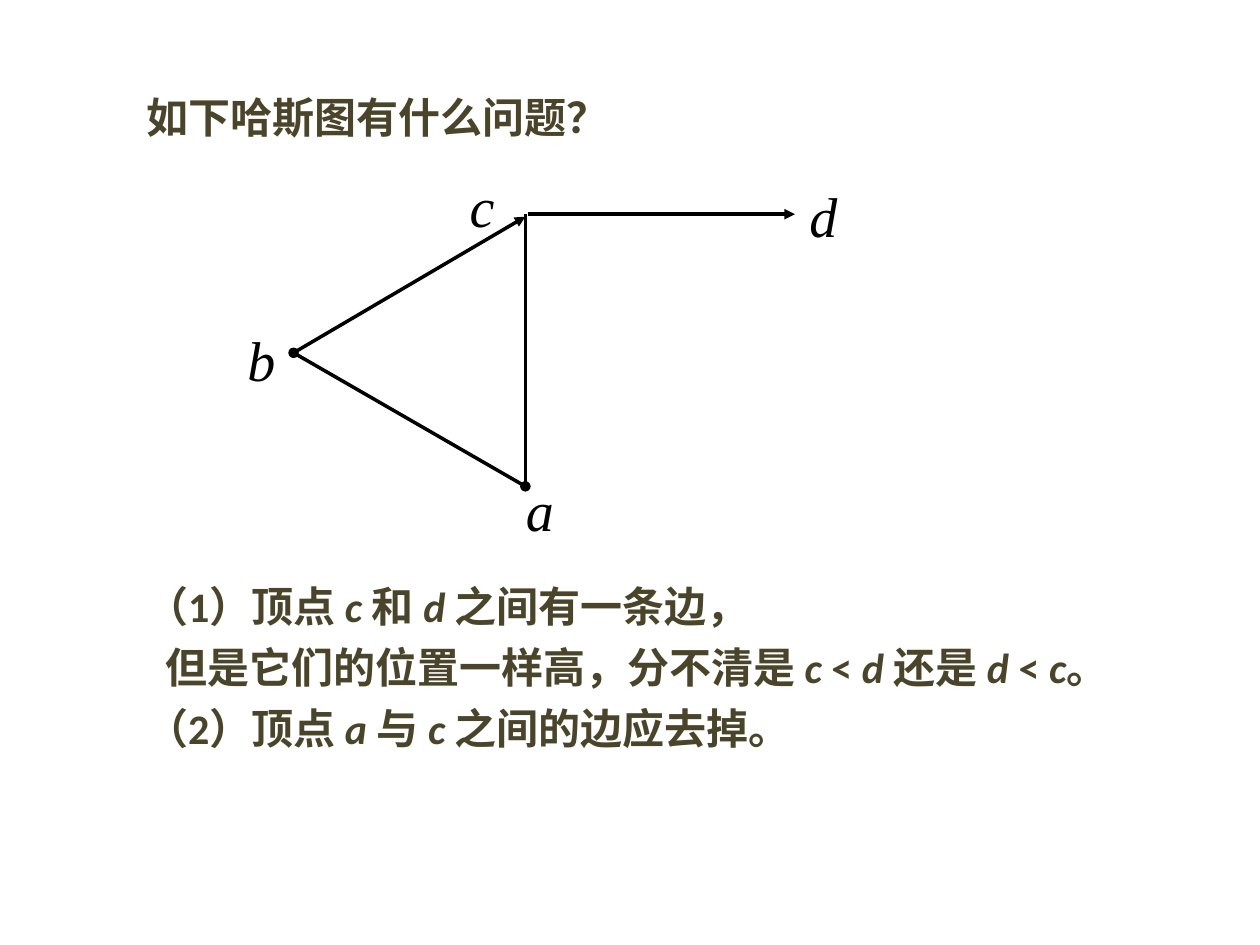
from dataclasses import dataclass

from lxml import etree
from pptx import Presentation, util as u
from pptx.dml.color import RGBColor
from pptx.enum import shapes, text
from pptx.oxml import ns


@dataclass(frozen=True)
class Theme:
    ink: RGBColor = RGBColor.from_string("4A452A")
    black: RGBColor = RGBColor.from_string("000000")
    text_font: str = "Calibri"
    label_font: str = "Times New Roman"
    text_size: u.Pt = u.Pt(24)
    label_size: u.Pt = u.Pt(32)
    line_width: u.Pt = u.Pt(2)


class HasseSlide:
    """Draws slide elements placed on a grid of 100 columns by 75 rows."""

    def __init__(self, deck, theme):
        self.theme = theme
        self.page = deck.slides.add_slide(deck.slide_layouts[1])
        self.column = deck.slide_width / 100
        self.row = deck.slide_height / 75

    def point(self, column, row):
        return round(column * self.column), round(row * self.row)

    def place(self, box, left, top, width, height):
        box.left, box.top = self.point(left, top)
        box.width, box.height = self.point(width, height)
        frame = box.text_frame
        frame.word_wrap = True
        frame.auto_size = text.MSO_AUTO_SIZE.NONE
        frame.vertical_anchor = text.MSO_ANCHOR.TOP
        return frame

    def style(self, para, font, size, color):
        para.font.name, para.font.size = font, size
        para.font.color.rgb = color

    def title(self, wording, *area):
        para = self.place(self.page.shapes.title, *area).paragraphs[0]
        para.text = wording
        para.alignment = text.PP_ALIGN.LEFT
        self.style(para, self.theme.text_font, self.theme.text_size, self.theme.ink)
        para.font.bold = True

    def answers(self, lines, *area):
        frame = self.place(self.page.placeholders[1], *area)
        for index, (wording, indent) in enumerate(lines):
            para = frame.paragraphs[0] if index == 0 else frame.add_paragraph()
            for part, piece in enumerate(wording.split("*")):
                span = para.add_run()
                span.text = piece
                span.font.italic = part % 2 == 1
            settings = para._p.get_or_add_pPr()
            settings.set("marL", str(self.point(indent, 0)[0]))
            settings.set("indent", "0")
            etree.SubElement(settings, ns.qn("a:buNone"))
            para.space_before = u.Pt(6 if index else 0)
            self.style(para, self.theme.text_font, self.theme.text_size, self.theme.ink)
            para.font.bold = True

    def edge(self, start, end, head=None, tail=None):
        line = self.page.shapes.add_connector(
            shapes.MSO_CONNECTOR.STRAIGHT, *self.point(*start), *self.point(*end))
        line.line.color.rgb = self.theme.black
        line.line.width = self.theme.line_width
        outline = line.get_or_add_ln()
        for tag, kind in (("a:headEnd", head), ("a:tailEnd", tail)):
            if kind:
                etree.SubElement(outline, ns.qn(tag), type=kind)
        etree.SubElement(outline.getparent(), ns.qn("a:effectLst"))

    def label(self, letter, left, top, width=4.5, height=5.9):
        box = self.page.shapes.add_textbox(*self.point(left, top), *self.point(width, height))
        frame = box.text_frame
        frame.word_wrap = False
        frame.margin_left = frame.margin_right = frame.margin_top = frame.margin_bottom = 0
        para = frame.paragraphs[0]
        para.text = letter
        para.alignment = text.PP_ALIGN.CENTER
        para.line_spacing = 1.1
        self.style(para, self.theme.label_font, self.theme.label_size, self.theme.black)
        para.font.italic = True


def main():
    deck = Presentation()
    deck.slide_width, deck.slide_height = u.Inches(10), u.Inches(7.5)
    slide = HasseSlide(deck, Theme())

    slide.title("如下哈斯图有什么问题？", 10.6, 6.8, 82.7, 5)
    slide.answers([
        ("（1）顶点 *c *和 *d *之间有一条边，", 0),
        ("但是它们的位置一样高，分不清是 *c *< *d *还是 *d *< *c*。", 1.5),
        ("（2）顶点 *a *与 *c *之间的边应去掉。", 0),
    ], 10.6, 45.6, 82.7, 18.7)

    a, b, c = (41.7, 38.6), (23.3, 28), (41.7, 17)
    slide.edge((41.9, 17), (63.1, 17), tail="triangle")
    slide.edge(b, (41.7, 17.2), tail="triangle")
    slide.edge(b, a, head="oval", tail="oval")
    slide.edge(c, a)

    for letter, left, top in (("a", 40.6, 37.2), ("b", 18.5, 25.3),
                              ("c", 36, 13.1), ("d", 63.1, 13.9)):
        slide.label(letter, left, top)

    deck.save("out.pptx")


if __name__ == "__main__":
    main()
